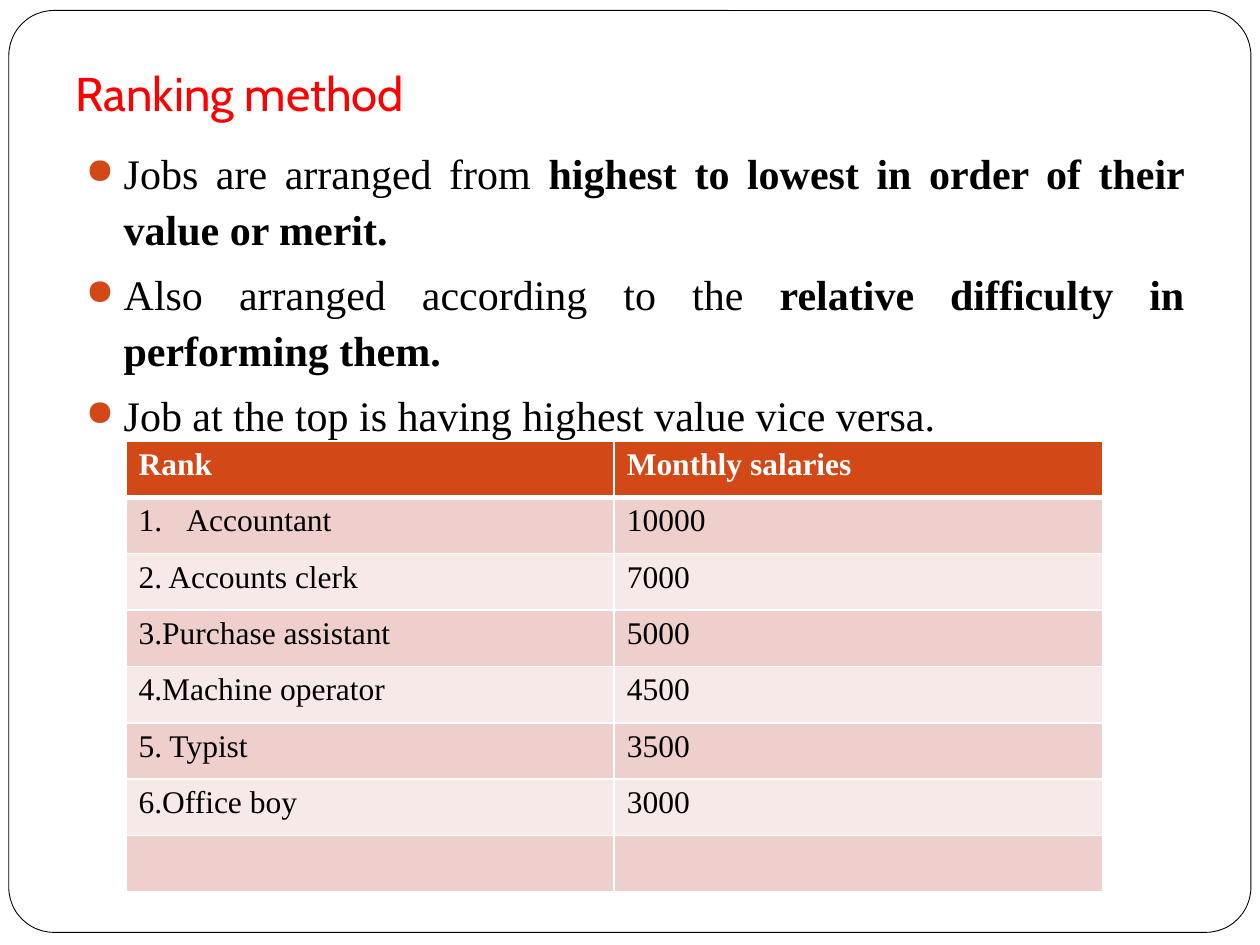
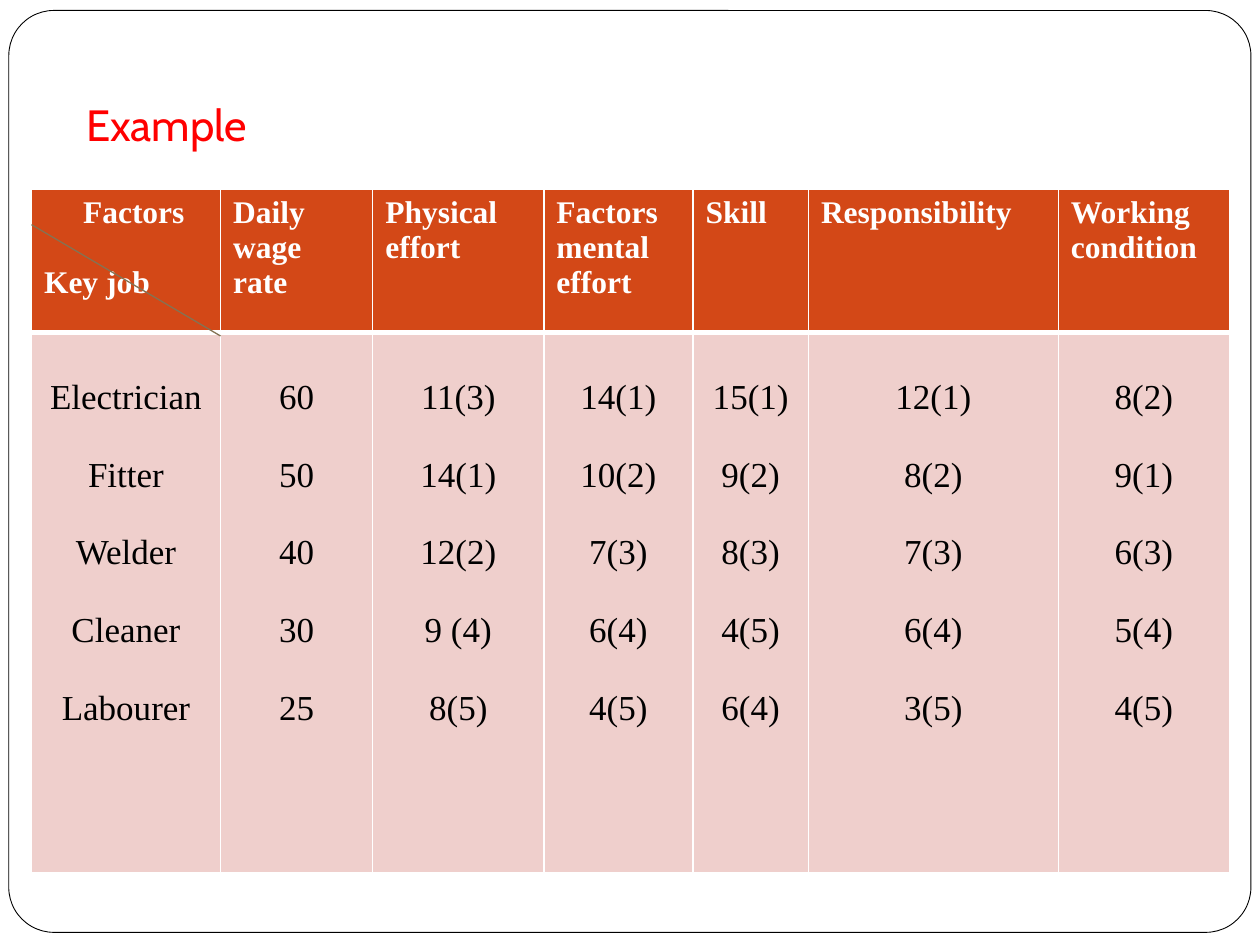
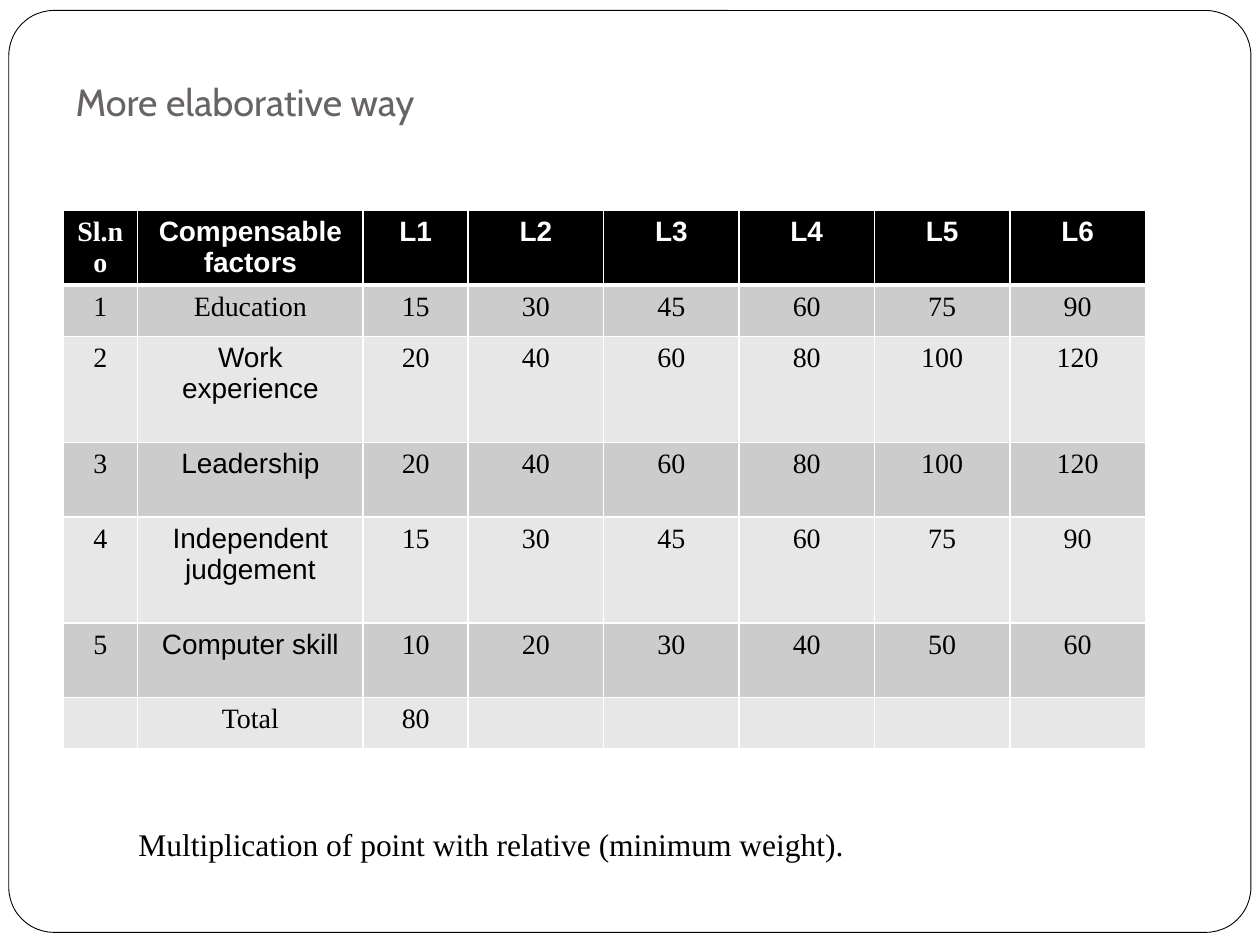
"""Build three job evaluation slides with shared frame, titles and tables."""
from dataclasses import dataclass
from itertools import product

from lxml import etree
from pptx import Presentation
from pptx import util as u
from pptx.dml.color import RGBColor
from pptx.enum import shapes, text
from pptx.oxml import ns

WIDTH, HEIGHT = u.Inches(10), u.Inches(7.5)
COLUMNS, ROWS = 120, 90

BLACK = RGBColor(0x00, 0x00, 0x00)
WHITE = RGBColor(0xFF, 0xFF, 0xFF)
RED = RGBColor(0xFF, 0x00, 0x00)
GREY = RGBColor(0x69, 0x64, 0x64)
ORANGE = RGBColor(0xD3, 0x48, 0x17)
ROSE = RGBColor(0xEF, 0xCF, 0xCC)
PALE_ROSE = RGBColor(0xF7, 0xE9, 0xE8)
SILVER = RGBColor(0xCC, 0xCC, 0xCC)
PALE_SILVER = RGBColor(0xE7, 0xE7, 0xE7)
OLIVE = RGBColor(0x84, 0x72, 0x53)

TITLE_FONT, SERIF, SANS = "Cabin", "Times New Roman", "Arial"
LEFT, CENTER = text.PP_ALIGN.LEFT, text.PP_ALIGN.CENTER
BLANK_LINE = 1.11


def across(columns: float) -> int:
    """Return the width of a number of grid columns."""
    return round(WIDTH * columns / COLUMNS)


def down(rows: float) -> int:
    """Return the height of a number of grid rows."""
    return round(HEIGHT * rows / ROWS)


@dataclass(frozen=True)
class Box:
    """Place something on the grid."""
    column: float
    row: float
    columns: float
    rows: float

    def lengths(self) -> tuple[int, int, int, int]:
        """Return left, top, width and height."""
        return across(self.column), down(self.row), across(self.columns), down(self.rows)


@dataclass(frozen=True)
class Title:
    """Describe a slide title."""
    words: str
    box: Box
    size: float
    color: RGBColor = RED


@dataclass(frozen=True)
class Grid:
    """Describe a table with a header row and banded body rows."""
    column: float
    row: float
    widths: list[float]
    heights: list[float]
    cells: list[list[str]]
    header_fill: RGBColor
    bands: tuple[RGBColor, RGBColor]
    header_size: float
    body_size: float
    header_alignment: text.PP_ALIGN = LEFT
    body_alignment: text.PP_ALIGN = LEFT
    body_top: float = 0.05
    sans_cells: frozenset[tuple[int, int]] = frozenset()


FRAME = Box(0.84, 1, 118.3, 87.8)
RANKING_TITLE = Title("Ranking method", Box(6, 6.7, 108, 6), 27)
EXAMPLE_TITLE = Title("Example", Box(7, 8, 102, 7.5), 25)
ELABORATE_TITLE = Title("More elaborative way", Box(6, 7, 108, 6), 21.6, GREY)

RANKING_POINTS = [
    ("Jobs are arranged from ", "highest to lowest in order of their value or merit."),
    ("Also arranged according to the ", "relative difficulty in performing them."),
    ("Job at the top is having highest value vice versa.", ""),
]

RANKING = Grid(
    12, 42, [46.5] * 2, [5.37] * 8,
    [["Rank", "Monthly salaries"],
     ["Accountant", "10000"],
     ["2. Accounts clerk", "7000"],
     ["3.Purchase assistant", "5000"],
     ["4.Machine operator", "4500"],
     ["5. Typist", "3500"],
     ["6.Office boy", "3000"],
     ["", ""]],
    ORANGE, (ROSE, PALE_ROSE), 18, 18)

FACTORS = Grid(
    3, 18, [18, 14.5, 16.3, 14.2, 11, 23.8, 16.3], [13.7, 51.4],
    [["Factors\nKey job", "Daily wage rate", "Physical effort", "Factors mental effort",
      "Skill", "Responsibility", "Working condition"],
     ["Electrician\nFitter\nWelder\nCleaner\nLabourer",
      "60\n50\n40\n30\n25",
      "11(3)\n14(1)\n12(2)\n9 (4)\n8(5)",
      "14(1)\n10(2)\n7(3)\n6(4)\n4(5)",
      "15(1)\n9(2)\n8(3)\n4(5)\n6(4)",
      "12(1)\n8(2)\n7(3)\n6(4)\n3(5)",
      "8(2)\n9(1)\n6(3)\n5(4)\n4(5)"]],
    ORANGE, (ROSE, PALE_ROSE), 18, 20, body_alignment=CENTER, body_top=0.36)

POINTS = Grid(
    6, 20, [7.1, 21.5, 10] + [12.9] * 5, [7.1, 4.9, 10.1, 7.1, 10.1, 7.1, 4.9],
    [["Sl.no", "Compensable factors", "L1", "L2", "L3", "L4", "L5", "L6"],
     ["1", "Education", "15", "30", "45", "60", "75", "90"],
     ["2", "Work experience", "20", "40", "60", "80", "100", "120"],
     ["3", "Leadership", "20", "40", "60", "80", "100", "120"],
     ["4", "Independent judgement", "15", "30", "45", "60", "75", "90"],
     ["5", "Computer skill", "10", "20", "30", "40", "50", "60"],
     ["", "Total", "80", "", "", "", "", ""]],
    BLACK, (SILVER, PALE_SILVER), 16, 16, CENTER, CENTER,
    sans_cells=frozenset(product([0], range(1, 8))) | frozenset(product(range(2, 6), [1])))


def format_font(font, size: float, color: RGBColor, name: str = SERIF, bold: bool = False) -> None:
    """Set the face, size, colour and weight of a font."""
    font.name, font.size, font.bold = name, u.Pt(size), bold
    font.color.rgb = color


def add_element(parent, tag: str, **attributes):
    """Append a drawing element to a parent."""
    values = {key: str(value) for key, value in attributes.items()}
    return etree.SubElement(parent, ns.qn(tag), values)


def indent(paragraph, margin: float, hanging: float = 0):
    """Indent a paragraph by inches and return its properties."""
    properties = paragraph._p.get_or_add_pPr()
    properties.set("marL", str(u.Inches(margin)))
    properties.set("indent", str(-u.Inches(hanging)))
    return properties


def add_frame(slide, layout) -> None:
    """Put the rounded page frame behind everything on the layout."""
    frame = slide.shapes.add_shape(shapes.MSO_SHAPE.ROUNDED_RECTANGLE, *FRAME.lengths())
    frame.adjustments[0] = 0.049
    frame.shadow.inherit = False
    frame.fill.solid()
    frame.fill.fore_color.rgb = WHITE
    frame.line.color.rgb = BLACK
    frame.line.width = u.Pt(0.5)
    layout.shapes.element.insert(2, frame.element)


def set_title(slide, title: Title) -> None:
    """Move, fill and format the title placeholder."""
    shape = slide.shapes.title
    shape.left, shape.top, shape.width, shape.height = title.box.lengths()
    frame = shape.text_frame
    frame.text = title.words
    frame.auto_size = text.MSO_AUTO_SIZE.NONE
    frame.vertical_anchor = text.MSO_ANCHOR.BOTTOM
    frame.margin_bottom = u.Inches(0.1)
    paragraph = frame.paragraphs[0]
    paragraph.alignment = LEFT
    format_font(paragraph.runs[0].font, title.size, title.color, TITLE_FONT)


def add_text_box(slide, box: Box):
    """Add a wrapping text box and return its text frame."""
    frame = slide.shapes.add_textbox(*box.lengths()).text_frame
    frame.word_wrap = True
    return frame


def add_points(slide, box: Box, points: list[tuple[str, str]]) -> None:
    """Add justified bullets, each with a plain and a bold part."""
    frame = add_text_box(slide, box)
    for index, parts in enumerate(points):
        paragraph = frame.add_paragraph() if index else frame.paragraphs[0]
        paragraph.alignment = text.PP_ALIGN.JUSTIFY
        paragraph.line_spacing = 1.1
        paragraph.space_before = u.Pt(5.8)
        for words, bold in zip(parts, (False, True)):
            if words:
                run = paragraph.add_run()
                run.text = words
                format_font(run.font, 24, BLACK, bold=bold)
        properties = indent(paragraph, 0.3, 0.3)
        add_element(add_element(properties, "a:buClr"), "a:srgbClr", val=ORANGE)
        add_element(properties, "a:buSzPct", val=85000)
        add_element(properties, "a:buChar", char="●")


def set_borders(cell, top: float, bottom: float) -> None:
    """Draw white borders around a cell, with widths in points."""
    properties = cell._tc.get_or_add_tcPr()
    for side, width in {"L": 1, "R": 1, "T": top, "B": bottom}.items():
        line = add_element(properties, f"a:ln{side}", w=u.Pt(width))
        add_element(add_element(line, "a:solidFill"), "a:srgbClr", val=WHITE)


def fill_cell(cell, grid: Grid, row: int, column: int) -> None:
    """Write and format one cell of a table."""
    header = row == 0
    size = grid.header_size if header else grid.body_size
    set_borders(cell, 3 if row == 1 else 1, 3 if header else 1)
    cell.fill.solid()
    cell.fill.fore_color.rgb = grid.header_fill if header else grid.bands[(row - 1) % 2]
    cell.margin_top = u.Inches(0.05 if header else grid.body_top)
    cell.text_frame.text = grid.cells[row][column]
    name = SANS if (row, column) in grid.sans_cells else SERIF
    for index, paragraph in enumerate(cell.text_frame.paragraphs):
        paragraph.alignment = grid.header_alignment if header else grid.body_alignment
        if index:
            paragraph.space_before = u.Pt(size * BLANK_LINE)
        for run in paragraph.runs:
            format_font(run.font, size, WHITE if header else BLACK, name, header)


def add_grid(slide, grid: Grid):
    """Add a table and return it."""
    box = Box(grid.column, grid.row, sum(grid.widths), sum(grid.heights))
    table = slide.shapes.add_table(len(grid.heights), len(grid.widths), *box.lengths()).table
    table.horz_banding = False
    for column, width in zip(table.columns, grid.widths):
        column.width = across(width)
    for row, height in zip(table.rows, grid.heights):
        row.height = down(height)
    for row, column in product(range(len(grid.heights)), range(len(grid.widths))):
        fill_cell(table.cell(row, column), grid, row, column)
    return table


def add_header_diagonal(slide) -> None:
    """Split the corner header cell with a thin line."""
    line = slide.shapes.add_connector(
        shapes.MSO_CONNECTOR.STRAIGHT, across(3), down(21.4), across(21), down(32))
    line.line.color.rgb = OLIVE
    line.line.width = u.Pt(0.75)
    add_element(line.element.spPr, "a:effectLst")


def build_ranking(slide) -> None:
    """Build the ranking method slide."""
    set_title(slide, RANKING_TITLE)
    add_points(slide, Box(7, 13, 107, 66), RANKING_POINTS)
    table = add_grid(slide, RANKING)
    numbered = indent(table.cell(1, 0).text_frame.paragraphs[0], 0.38, 0.38)
    add_element(numbered, "a:buFont", typeface="+mj-lt")
    add_element(numbered, "a:buAutoNum", type="arabicPeriod")


def build_example(slide) -> None:
    """Build the factor comparison slide."""
    set_title(slide, EXAMPLE_TITLE)
    table = add_grid(slide, FACTORS)
    indent(table.cell(0, 0).text_frame.paragraphs[0], 0.31)
    add_header_diagonal(slide)


def build_elaborate(slide) -> None:
    """Build the point rating slide."""
    set_title(slide, ELABORATE_TITLE)
    add_grid(slide, POINTS)
    caption = add_text_box(slide, Box(12, 78, 79, 4.8))
    caption.text = "Multiplication of point with relative (minimum weight)."
    format_font(caption.paragraphs[0].runs[0].font, 18, BLACK)


def main() -> None:
    """Build and save the presentation."""
    presentation = Presentation()
    presentation.slide_width, presentation.slide_height = WIDTH, HEIGHT
    layout = presentation.slide_layouts.get_by_name("Title Only")
    for build in (build_ranking, build_example, build_elaborate):
        build(presentation.slides.add_slide(layout))
    add_frame(presentation.slides[0], layout)
    presentation.save("out.pptx")


if __name__ == "__main__":
    main()
